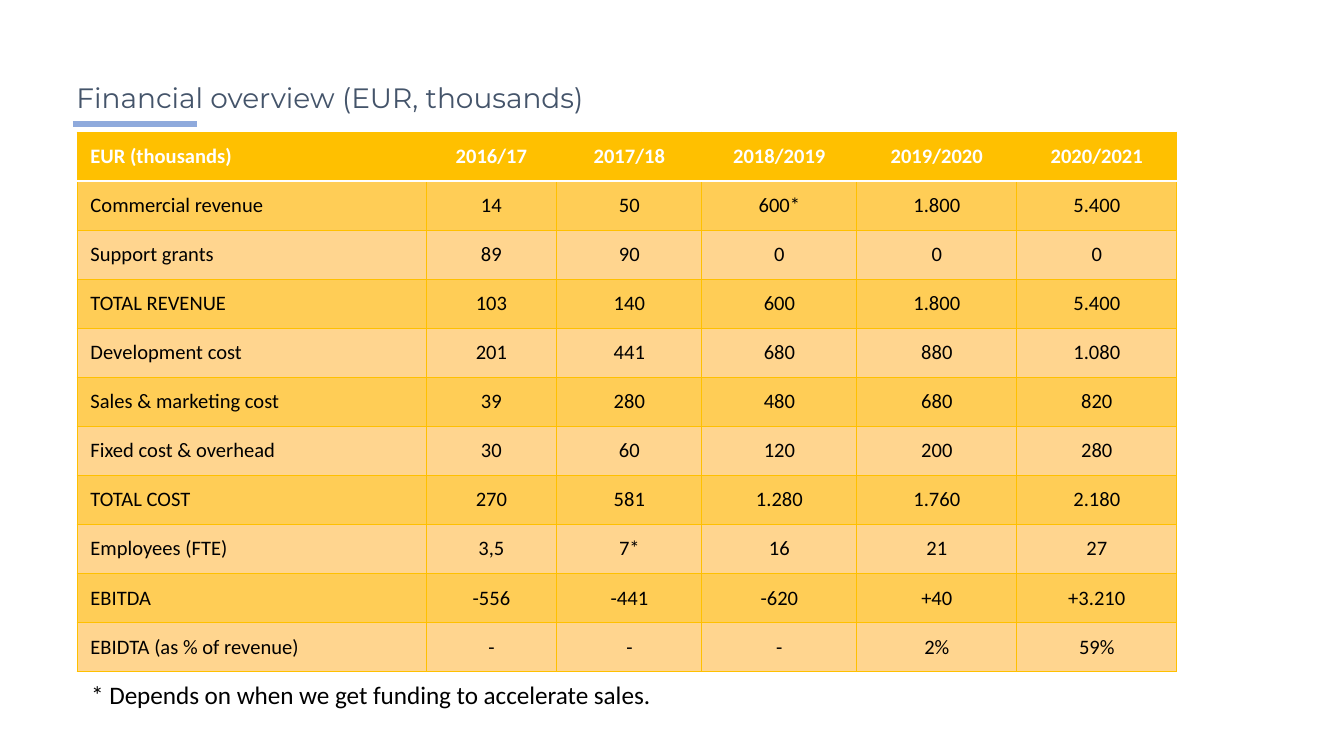
from dataclasses import dataclass

from lxml.etree import SubElement
from pptx import Presentation
from pptx.dml.color import RGBColor
from pptx.enum.shapes import MSO_CONNECTOR
from pptx.enum.text import MSO_ANCHOR, MSO_AUTO_SIZE, PP_ALIGN
from pptx.oxml.ns import qn
from pptx.util import Emu, Pt

EMU_PER_PX = 914400 / 134.4
TITLE_ONLY = 5


def px(length):
    return Emu(round(length * EMU_PER_PX))


@dataclass(frozen=True)
class Theme:
    heading_font: str = "Montserrat"
    body_font: str = "Calibri"
    heading: str = "44546A"
    accent: str = "8FAADC"
    text: str = "000000"
    white: str = "FFFFFF"
    gold: str = "FFC000"
    band_dark: str = "FFCD56"
    band_light: str = "FFD58F"
    heading_size: float = 15
    table_size: float = 11
    note_size: float = 13.5
    accent_width: float = 3
    grid_width: float = 0.5
    header_rule_width: float = 1


class SlideBuilder:
    def __init__(self, slide, theme):
        self.slide = slide
        self.theme = theme

    def style(self, paragraph, font_name, size, color, bold=False):
        for run in paragraph.runs:
            run.font.name = font_name
            run.font.size = Pt(size)
            run.font.bold = bold
            run.font.color.rgb = RGBColor.from_string(color)

    def title(self, text, left, top, width, height):
        heading = self.slide.shapes.title
        heading.left, heading.top = px(left), px(top)
        heading.width, heading.height = px(width), px(height)
        frame = heading.text_frame
        frame.text = text
        frame.word_wrap = True
        frame.auto_size = MSO_AUTO_SIZE.NONE
        frame.vertical_anchor = MSO_ANCHOR.TOP
        frame.paragraphs[0].alignment = PP_ALIGN.LEFT
        self.style(frame.paragraphs[0], self.theme.heading_font,
                   self.theme.heading_size, self.theme.heading)

    def underline(self, left, right, y):
        rule = self.slide.shapes.add_connector(
            MSO_CONNECTOR.STRAIGHT, px(left), px(y), px(right), px(y))
        rule.line.color.rgb = RGBColor.from_string(self.theme.accent)
        rule.line.width = Pt(self.theme.accent_width)
        SubElement(rule.element.spPr, qn("a:effectLst"))

    def note(self, text, left, top, width, height):
        box = self.slide.shapes.add_textbox(
            px(left), px(top), px(width), px(height))
        frame = box.text_frame
        frame.text = text
        frame.word_wrap = False
        frame.auto_size = MSO_AUTO_SIZE.SHAPE_TO_FIT_TEXT
        self.style(frame.paragraphs[0], self.theme.body_font,
                   self.theme.note_size, self.theme.text)

    def cell_border(self, cell, side, color, width):
        """Draw one side (L, R, T or B); call before filling the cell."""
        border = SubElement(cell._tc.get_or_add_tcPr(), qn(f"a:ln{side}"),
                            w=str(Pt(width)))
        fill = SubElement(border, qn("a:solidFill"))
        SubElement(fill, qn("a:srgbClr"), val=color)

    def cell(self, cell, text, row, column):
        theme = self.theme
        is_header = row == 0
        for side in "LRTB":
            on_header_rule = (row, side) in ((0, "B"), (1, "T"))
            if on_header_rule:
                self.cell_border(cell, side, theme.white, theme.header_rule_width)
            else:
                self.cell_border(cell, side, theme.gold, theme.grid_width)
        band = theme.band_dark if row % 2 else theme.band_light
        cell.fill.solid()
        cell.fill.fore_color.rgb = RGBColor.from_string(
            theme.gold if is_header else band)
        cell.vertical_anchor = MSO_ANCHOR.MIDDLE
        cell.text_frame.text = text
        paragraph = cell.text_frame.paragraphs[0]
        paragraph.alignment = PP_ALIGN.CENTER if column else PP_ALIGN.LEFT
        self.style(paragraph, theme.body_font, theme.table_size,
                   theme.white if is_header else theme.text, is_header)

    def table(self, rows, left, top, column_widths, height):
        table = self.slide.shapes.add_table(
            len(rows), len(column_widths), px(left), px(top),
            px(sum(column_widths)), px(height)).table
        for column, width in zip(table.columns, column_widths):
            column.width = px(width)
        for r, values in enumerate(rows):
            table.rows[r].height = px(height / len(rows))
            for c, value in enumerate(values):
                self.cell(table.cell(r, c), value, r, c)


FINANCIALS = [
    ("EUR (thousands)", "2016/17", "2017/18", "2018/2019", "2019/2020", "2020/2021"),
    ("Commercial revenue", "14", "50", "600*", "1.800", "5.400"),
    ("Support grants", "89", "90", "0", "0", "0"),
    ("TOTAL REVENUE", "103", "140", "600", "1.800", "5.400"),
    ("Development cost", "201", "441", "680", "880", "1.080"),
    ("Sales & marketing cost", "39", "280", "480", "680", "820"),
    ("Fixed cost & overhead", "30", "60", "120", "200", "280"),
    ("TOTAL COST", "270", "581", "1.280", "1.760", "2.180"),
    ("Employees (FTE)", "3,5", "7*", "16", "21", "27"),
    ("EBITDA", "-556", "-441", "-620", "+40", "+3.210"),
    ("EBIDTA (as % of revenue)", "-", "-", "-", "2%", "59%"),
]


def main():
    presentation = Presentation()
    presentation.slide_width, presentation.slide_height = px(1344), px(756)
    slide = presentation.slides.add_slide(presentation.slide_layouts[TITLE_ONLY])
    builder = SlideBuilder(slide, Theme())
    builder.table(FINANCIALS, left=77, top=132,
                  column_widths=(349, 131, 145, 155, 160, 160), height=540)
    builder.title("Financial overview (EUR, thousands)",
                  left=63, top=74, width=1004, height=47)
    builder.underline(left=73, right=197, y=124)
    builder.note("* Depends on when we get funding to accelerate sales.",
                 left=78, top=673, width=595, height=44)
    presentation.save("out.pptx")


if __name__ == "__main__":
    main()
